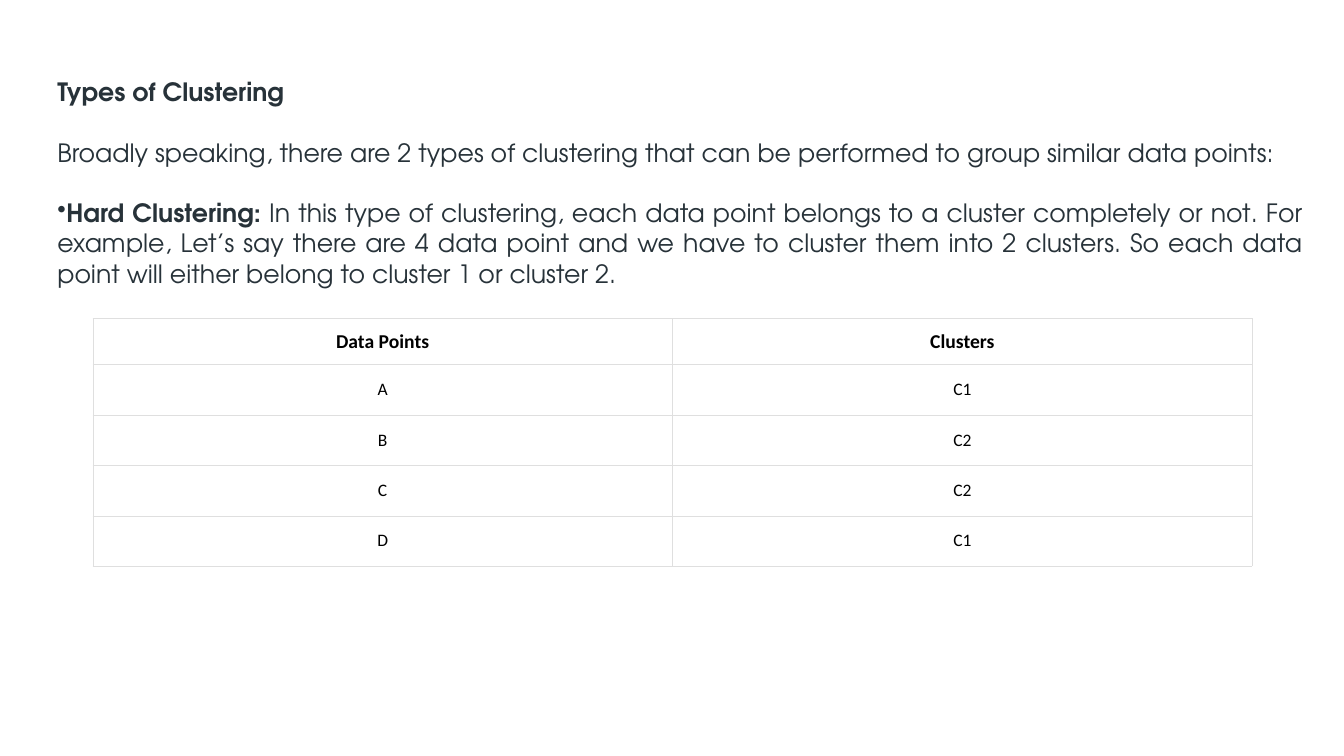
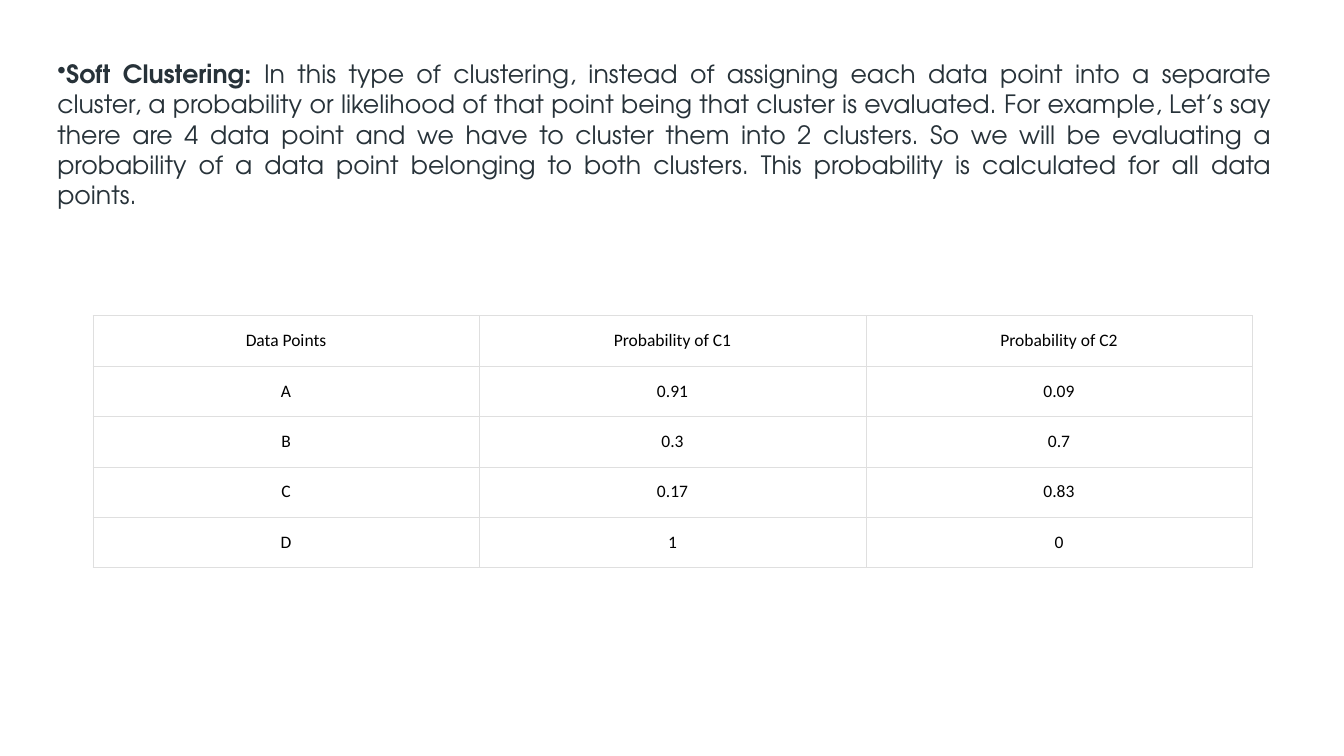
import pptx
import pptx.util
import pptx.dml.color
import pptx.enum.text
import pptx.oxml
import pptx.oxml.ns
from pptx.util import Inches

COLORS = {"text": "273239", "cell_text": "000000", "cell": "FFFFFF", "border": "DFDFDF"}
ALIGN = pptx.enum.text.PP_ALIGN
ANCHOR = pptx.enum.text.MSO_ANCHOR
BODY_FONT = {"name": "TeX Gyre Adventor", "size": pptx.util.Pt(18), "bold": False}
BOLD_FONT = {**BODY_FONT, "bold": True}
CELL_FONT = {"name": "Calibri", "size": pptx.util.Pt(12.5), "bold": False}
HEADER_FONT = {**CELL_FONT, "size": pptx.util.Pt(14), "bold": True}
TITLE_ONLY, BLANK = 5, 6
TEXT_LEFT = 0.47
TABLE_LEFT, TABLE_WIDTH = 0.92, 11.5
ROW_HEIGHT, CELL_PAD = 0.5, 0.14
BORDER_WIDTH = pptx.util.Pt(0.23)


def assign(target, values):
    for name, value in values.items():
        setattr(target, name, value)


def rgb(key):
    return pptx.dml.color.RGBColor.from_string(COLORS[key])


class Deck:
    def __init__(self):
        self.prs = pptx.Presentation()
        assign(self.prs, {"slide_width": Inches(13.33), "slide_height": Inches(7.5)})
        self.s = None

    def slide(self, layout):
        self.s = self.prs.slides.add_slide(self.prs.slide_layouts[layout])

    def run(self, p, text, font, color="text"):
        r = p.add_run()
        r.text = text
        assign(r.font, font)
        r.font.color.rgb = rgb(color)

    def frame(self, tf):
        assign(tf, {"word_wrap": True, "vertical_anchor": ANCHOR.TOP,
                    "auto_size": pptx.enum.text.MSO_AUTO_SIZE.NONE})

    def title(self, text, top, width, height):
        sp = self.s.shapes.title
        assign(sp, {"left": Inches(TEXT_LEFT), "top": Inches(top),
                    "width": Inches(width), "height": Inches(height)})
        self.frame(sp.text_frame)
        p = sp.text_frame.paragraphs[0]
        p.alignment = ALIGN.JUSTIFY
        self.run(p, text, BOLD_FONT)

    def body(self, top, width, height, term, text, intro=None):
        sp = self.s.shapes.add_textbox(Inches(TEXT_LEFT), Inches(top), Inches(width), Inches(height))
        tf = sp.text_frame
        self.frame(tf)
        p = tf.paragraphs[0]
        if intro:
            assign(p, {"alignment": ALIGN.JUSTIFY, "space_after": Inches(0.3)})
            self.run(p, intro, BODY_FONT)
            p = tf.add_paragraph()
        p.alignment = ALIGN.JUSTIFY
        self.bullet(p)
        self.run(p, term, BOLD_FONT)
        self.run(p, text, BODY_FONT)

    def bullet(self, p):
        pPr = p._p.get_or_add_pPr()
        pPr.set("marL", "0")
        pPr.set("indent", "0")
        pPr.append(pptx.oxml.parse_xml(f'<a:buChar {pptx.oxml.ns.nsdecls("a")} char="•"/>'))

    def table(self, top, rows, header_font=CELL_FONT, header_height=ROW_HEIGHT):
        heights = [header_height] + [ROW_HEIGHT] * (len(rows) - 1)
        columns = len(rows[0])
        table = self.s.shapes.add_table(len(rows), columns, Inches(TABLE_LEFT), Inches(top),
                                        Inches(TABLE_WIDTH), Inches(sum(heights))).table
        assign(table, {"first_row": False, "horz_banding": False})
        for column in table.columns:
            column.width = Inches(TABLE_WIDTH / columns)
        for i, (values, height) in enumerate(zip(rows, heights)):
            table.rows[i].height = Inches(height)
            pad = CELL_PAD - (ROW_HEIGHT - height) / 2
            for j, value in enumerate(values):
                self.cell(table.cell(i, j), value, header_font if i == 0 else CELL_FONT, pad)

    def cell(self, cell, text, font, pad):
        assign(cell, {"vertical_anchor": ANCHOR.MIDDLE,
                      "margin_left": Inches(0.1), "margin_right": Inches(0.1),
                      "margin_top": Inches(pad), "margin_bottom": Inches(pad)})
        tcPr = cell._tc.get_or_add_tcPr()
        for side in "LRTB":
            tcPr.append(pptx.oxml.parse_xml(
                f'<a:ln{side} {pptx.oxml.ns.nsdecls("a")} w="{int(BORDER_WIDTH)}"><a:solidFill>'
                f'<a:srgbClr val="{COLORS["border"]}"/></a:solidFill></a:ln{side}>'))
        cell.fill.solid()
        cell.fill.fore_color.rgb = rgb("cell")
        p = cell.text_frame.paragraphs[0]
        p.alignment = ALIGN.CENTER
        self.run(p, text, font, "cell_text")


def main():
    deck = Deck()

    deck.slide(TITLE_ONLY)
    deck.title("Types of Clustering", 0.71, 12.55, 0.4)
    deck.body(
        1.31, 12.55, 1.62, "Hard Clustering: ",
        "In this type of clustering, each data point belongs to a cluster completely or not. "
        "For example, Let’s say there are 4 data point and we have to cluster them into 2 clusters. "
        "So each data point will either belong to cluster 1 or cluster 2.",
        intro="Broadly speaking, there are 2 types of clustering that can be performed "
              "to group similar data points:")
    deck.table(3.16, [("Data Points", "Clusters"), ("A", "C1"), ("B", "C2"), ("C", "C2"), ("D", "C1")],
               HEADER_FONT, 0.44)

    deck.slide(BLANK)
    deck.body(
        0.53, 12.24, 1.6, "Soft Clustering: ",
        "In this type of clustering, instead of assigning each data point into a separate cluster, "
        "a probability or likelihood of that point being that cluster is evaluated. "
        "For example, Let’s say there are 4 data point and we have to cluster them into 2 clusters. "
        "So we will be evaluating a probability of a data point belonging to both clusters. "
        "This probability is calculated for all data points.")
    deck.table(3.13, [("Data Points", "Probability of C1", "Probability of C2"),
                      ("A", "0.91", "0.09"), ("B", "0.3", "0.7"),
                      ("C", "0.17", "0.83"), ("D", "1", "0")])

    deck.prs.save("out.pptx")


if __name__ == "__main__":
    main()
